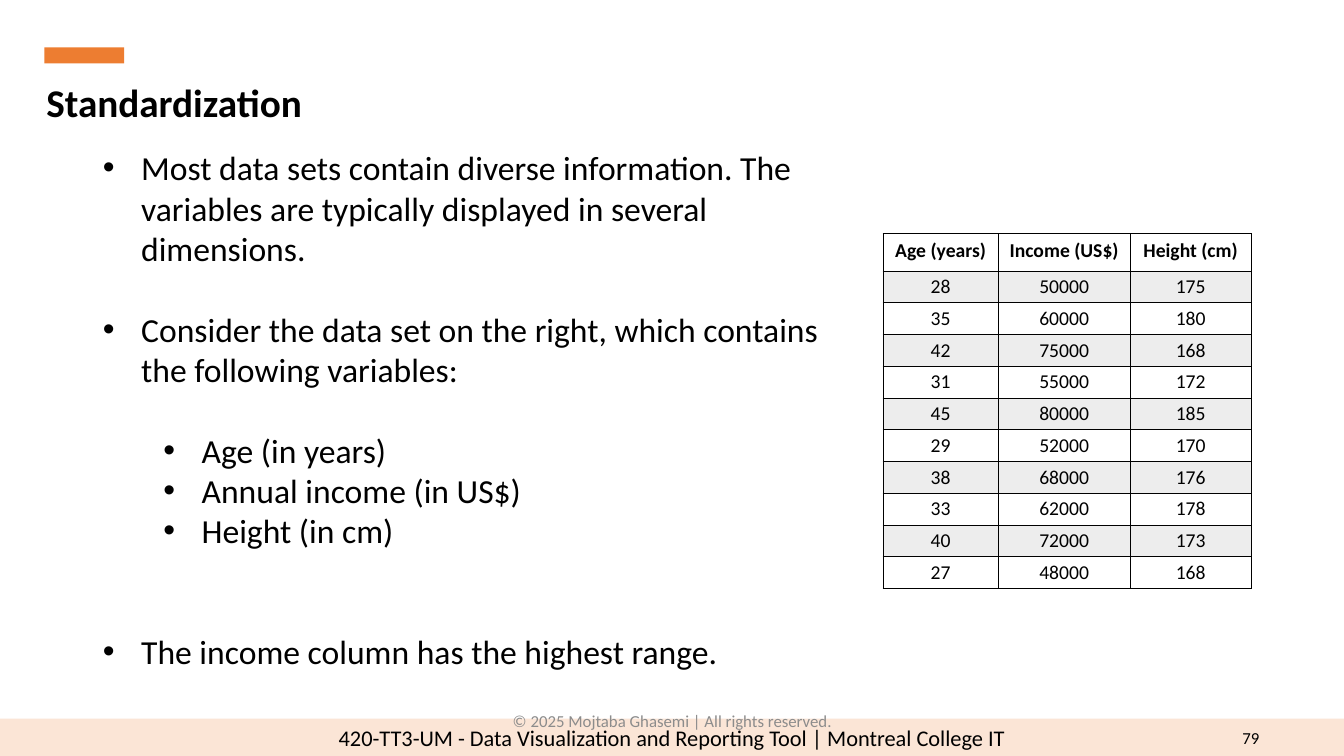
"""Build the Standardization slide with its bullets and sample data table."""
from lxml.etree import SubElement
from pptx import Presentation
from pptx.dml.color import RGBColor
from pptx.enum.shapes import MSO_SHAPE
from pptx.enum.text import MSO_ANCHOR, MSO_AUTO_SIZE, PP_ALIGN
from pptx.oxml.ns import qn
from pptx.util import Inches, Pt

COLORS = {"text": "000000", "accent": "ED7D31", "footer": "FBE5D6",
          "band": "EDEDED", "copyright": "8C8C8C"}
FONT = "Calibri"
WIDTH, HEIGHT = 13.33, 7.5

TITLE = "Standardization"
FOOTER = "420-TT3-UM - Data Visualization and Reporting Tool | Montreal College IT"
COPYRIGHT = "© 2025 Mojtaba Ghasemi | All rights reserved."
PAGE = "79"

LINE = 28.8
BULLETS = [
    (0, 0, "Most data sets contain diverse information. The variables are "
           "typically displayed in several dimensions."),
    (0, 1, "Consider the data set on the right, which contains the following variables:"),
    (1, 1, "Age (in years)"),
    (1, 0, "Annual income (in US$)"),
    (1, 0, "Height (in cm)"),
    (0, 2, "The income column has the highest range."),
]
INDENTS = (0.38, 0.98)
HANGING = 0.38

PEOPLE = [
    ("Age (years)", "Income (US$)", "Height (cm)"),
    (28, 50000, 175), (35, 60000, 180), (42, 75000, 168), (31, 55000, 172),
    (45, 80000, 185), (29, 52000, 170), (38, 68000, 176), (33, 62000, 178),
    (40, 72000, 173), (27, 48000, 168),
]
COLUMN_WIDTHS = (1.14, 1.31, 1.2)
TABLE_HEIGHT, HEADER_HEIGHT = 3.52, 0.37


def color(name):
    return RGBColor.from_string(COLORS[name])


def style(paragraph, size, align=PP_ALIGN.LEFT, bold=False, ink="text"):
    paragraph.alignment = align
    font = paragraph.font
    font.name, font.size, font.bold = FONT, Pt(size), bold
    font.color.rgb = color(ink)


def place(shape, left, top, width, height):
    shape.left, shape.top = Inches(left), Inches(top)
    shape.width, shape.height = Inches(width), Inches(height)


def add_bar(slide, box, fill):
    bar = slide.shapes.add_shape(MSO_SHAPE.RECTANGLE, *map(Inches, box))
    bar.shadow.inherit = False
    bar.fill.solid()
    bar.fill.fore_color.rgb = color(fill)
    bar.line.fill.background()
    return bar


def add_label(slide, box, text, align, ink):
    label = slide.shapes.add_textbox(*map(Inches, box)).text_frame
    label.word_wrap = True
    label.vertical_anchor = MSO_ANCHOR.MIDDLE
    label.text = text
    style(label.paragraphs[0], 12, align, ink=ink)


def fill_title(title):
    place(title, 0.36, 0.73, 11.45, 0.57)
    frame = title.text_frame
    frame.text = TITLE
    frame.vertical_anchor = MSO_ANCHOR.TOP
    frame.auto_size = MSO_AUTO_SIZE.NONE
    style(frame.paragraphs[0], 28, bold=True)


def fill_body(body):
    place(body, 0.92, 1.41, 7.32, 5.35)
    frame = body.text_frame
    frame.auto_size = MSO_AUTO_SIZE.NONE
    frame.text = "\n".join(text for _, _, text in BULLETS)
    for paragraph, (level, gap_lines, _) in zip(frame.paragraphs, BULLETS):
        paragraph.level = level
        properties = paragraph._p.get_or_add_pPr()
        properties.set("marL", str(Inches(INDENTS[level])))
        properties.set("indent", str(-Inches(HANGING)))
        SubElement(properties, qn("a:buFont"), typeface="Arial")
        SubElement(properties, qn("a:buChar"), char="•")
        paragraph.space_before = Pt(gap_lines * LINE)
        style(paragraph, 24)


def outline(cell):
    properties = cell._tc.get_or_add_tcPr()
    for position, side in enumerate(("a:lnL", "a:lnR", "a:lnT", "a:lnB")):
        border = SubElement(properties, qn(side), w=str(Pt(1)))
        solid = SubElement(border, qn("a:solidFill"))
        SubElement(solid, qn("a:srgbClr"), val=COLORS["text"])
        properties.insert(position, border)


def add_people(slide):
    table = slide.shapes.add_table(
        len(PEOPLE), len(COLUMN_WIDTHS), Inches(8.76), Inches(2.32),
        Inches(sum(COLUMN_WIDTHS)), Inches(TABLE_HEIGHT)).table
    for column, width in zip(table.columns, COLUMN_WIDTHS):
        column.width = Inches(width)
    row_height = (TABLE_HEIGHT - HEADER_HEIGHT) / (len(PEOPLE) - 1)
    for r, person in enumerate(PEOPLE):
        table.rows[r].height = Inches(row_height if r else HEADER_HEIGHT)
        for c, value in enumerate(person):
            cell = table.cell(r, c)
            cell.text = str(value)
            style(cell.text_frame.paragraphs[0], 14, PP_ALIGN.CENTER, bold=r == 0)
            if r:
                cell.vertical_anchor = MSO_ANCHOR.MIDDLE
                cell.margin_left = cell.margin_right = Inches(0.05)
                cell.margin_top = cell.margin_bottom = 0
            if r % 2:
                cell.fill.solid()
                cell.fill.fore_color.rgb = color("band")
            else:
                cell.fill.background()
            outline(cell)


def main():
    deck = Presentation()
    deck.slide_width, deck.slide_height = Inches(WIDTH), Inches(HEIGHT)
    slide = deck.slides.add_slide(deck.slide_layouts[1])
    fill_title(slide.shapes.title)
    fill_body(slide.placeholders[1])

    footer = add_bar(slide, (0, 7.13, WIDTH, HEIGHT - 7.13), "footer").text_frame
    footer.text = FOOTER
    style(footer.paragraphs[0], 16, PP_ALIGN.CENTER)
    add_bar(slide, (0.44, 0.47, 0.79, 0.16), "accent")
    add_label(slide, (12.21, 7.12, 0.38, 0.4), PAGE, PP_ALIGN.RIGHT, "text")
    add_people(slide)
    add_label(slide, (4.42, 6.95, 4.5, 0.4), COPYRIGHT, PP_ALIGN.CENTER, "copyright")
    deck.save("out.pptx")


if __name__ == "__main__":
    main()
